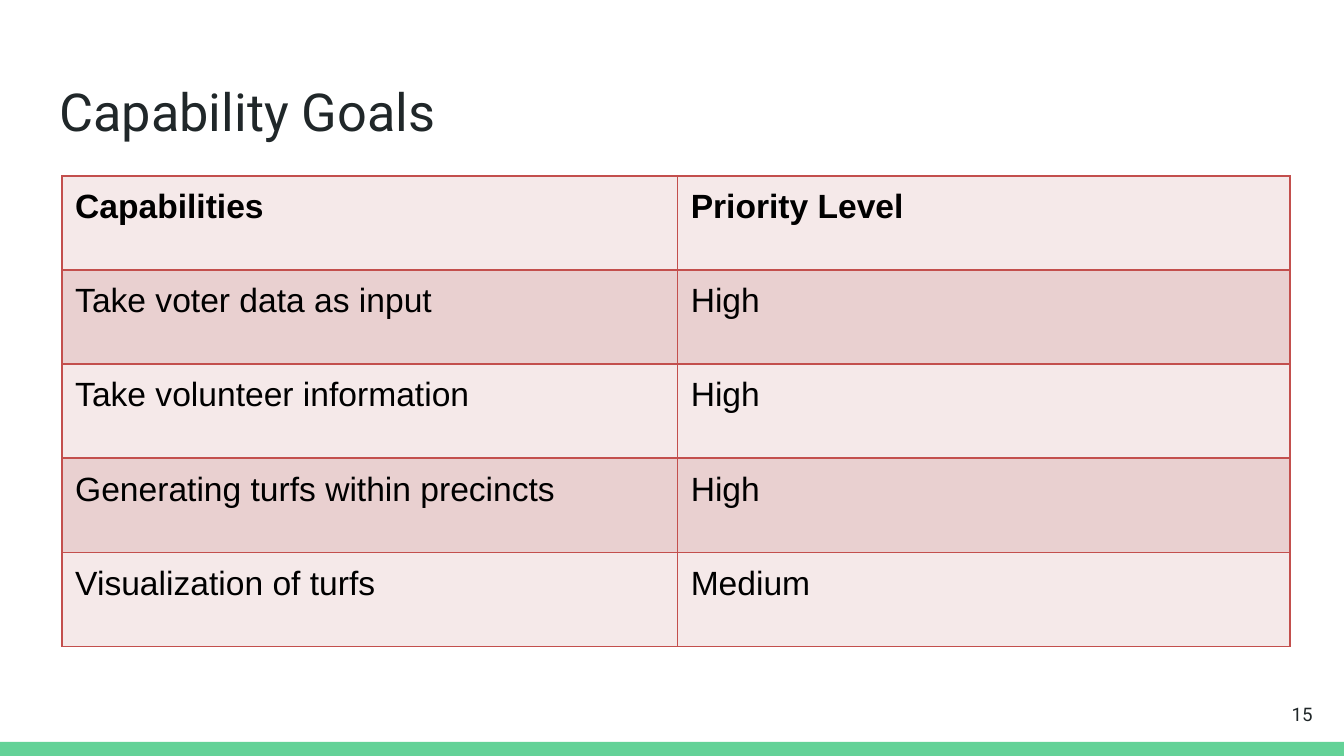
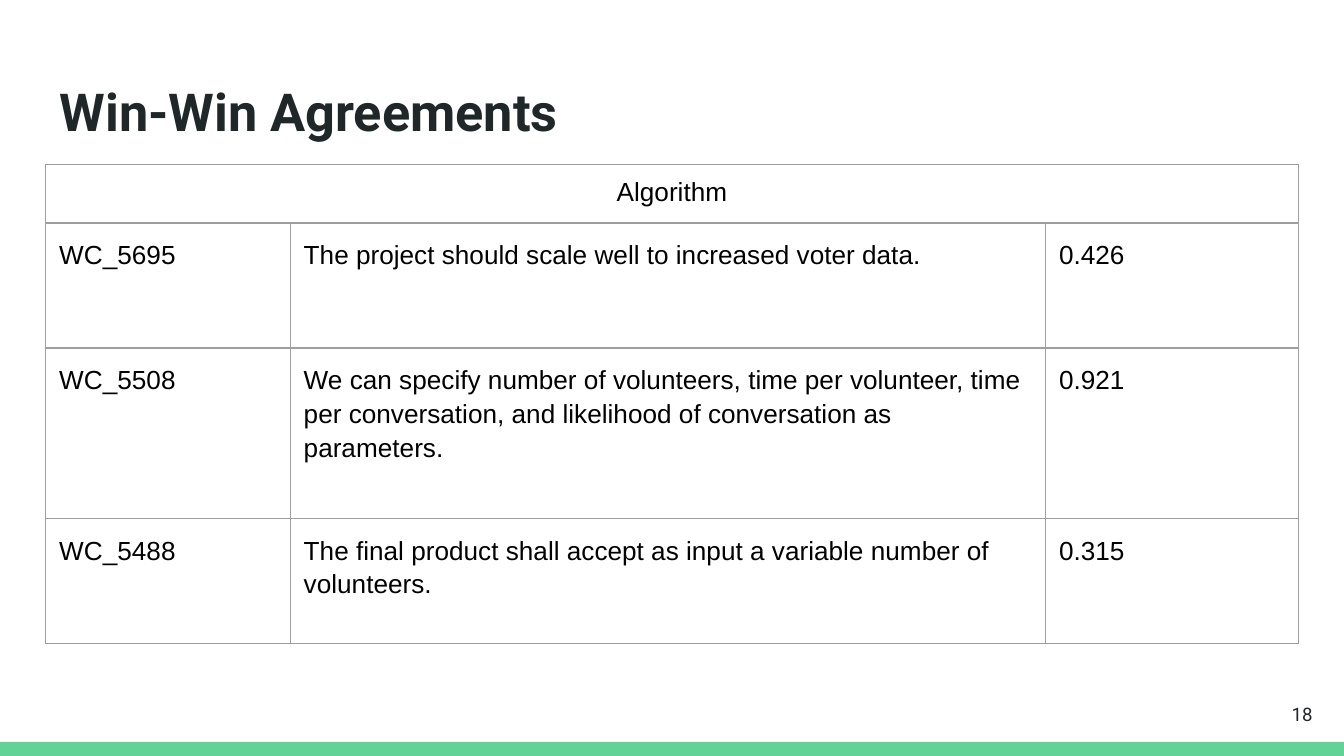
"""Build two table slides that share a title style, a page number and a green band."""
from dataclasses import dataclass
from typing import Optional

from lxml.etree import SubElement
from pptx import Presentation
from pptx.dml.color import RGBColor
from pptx.enum.shapes import MSO_SHAPE as Preset
from pptx.enum.text import MSO_ANCHOR as Anchor, PP_ALIGN as Align
from pptx.oxml.ns import qn
from pptx.slide import Slide
from pptx.table import _Cell as Cell
from pptx.util import Inches, Pt

GREEN = RGBColor(0x63, 0xD2, 0x97)
INK = RGBColor(0x20, 0x27, 0x29)
BLACK = RGBColor(0x00, 0x00, 0x00)
RED = RGBColor(0xC3, 0x4F, 0x4D)
GRAY = RGBColor(0x9E, 0x9E, 0x9E)
PALE_PINK = RGBColor(0xF5, 0xE9, 0xE9)
PINK = RGBColor(0xE9, 0xD0, 0xD0)

HEADING_FONT = "Roboto"
TABLE_FONT = "Arial"
COLUMNS, ROWS = 100, 56.25
WIDTH = Inches(10)
HEIGHT = WIDTH * 9 // 16
INSET = Inches(0.1)


@dataclass(frozen=True)
class Area:
    """A rectangle in grid columns and rows."""
    left: float
    top: float
    width: float
    height: float

    def lengths(self) -> tuple[int, int, int, int]:
        """Return left, top, width and height in slide units."""
        return across(self.left), down(self.top), across(self.width), down(self.height)


@dataclass(frozen=True)
class TextStyle:
    """How the text of a box or cell is set."""
    font: str
    size: int
    color: RGBColor
    bold: bool = False
    align: Align = Align.LEFT
    anchor: Anchor = Anchor.TOP
    spacing: Optional[float] = None


@dataclass(frozen=True)
class TableSpec:
    """The place, look and content of a table."""
    left: float
    top: float
    widths: list[float]
    heights: list[float]
    rows: list[list[str]]
    header: TextStyle
    body: TextStyle
    border: RGBColor
    border_width: float
    margin: float
    fills: tuple[RGBColor, ...] = ()


@dataclass(frozen=True)
class Page:
    """The content of one slide."""
    title: str
    number: int
    table: TableSpec
    bold_title: bool = False


BAND = Area(0, 55.2, COLUMNS, 1.05)
TITLE = Area(3.45, 4.9, 93.2, 6.3)
NUMBER = Area(92.65, 51, 6, 4.3)
NUMBER_STYLE = TextStyle(HEADING_FONT, 10, INK, align=Align.RIGHT, anchor=Anchor.MIDDLE)

PAGES = [
    Page("Capability Goals", 15, TableSpec(
        left=4.6, top=13.1, widths=[45.8, 45.6], heights=[7] * 5,
        rows=[
            ["Capabilities", "Priority Level"],
            ["Take voter data as input", "High"],
            ["Take volunteer information", "High"],
            ["Generating turfs within precincts", "High"],
            ["Visualization of turfs", "Medium"],
        ],
        header=TextStyle(TABLE_FONT, 18, BLACK, bold=True, spacing=1.15),
        body=TextStyle(TABLE_FONT, 18, BLACK, spacing=1.15),
        border=RED, border_width=1, margin=0.05, fills=(PALE_PINK, PINK),
    )),
    Page("Win-Win Agreements", 18, TableSpec(
        left=3.4, top=12.25, widths=[18.2, 56.2, 18.8], heights=[1.1, 9.3, 12.7, 9.3],
        rows=[
            ["Algorithm"],
            ["WC_5695", "The project should scale well to increased voter data.", "0.426"],
            ["WC_5508", "We can specify number of volunteers, time per volunteer, time per "
             "conversation, and likelihood of conversation as parameters.", "0.921"],
            ["WC_5488", "The final product shall accept as input a variable number of "
             "volunteers.", "0.315"],
        ],
        header=TextStyle(TABLE_FONT, 14, BLACK, align=Align.CENTER),
        body=TextStyle(TABLE_FONT, 14, BLACK, spacing=1.15),
        border=GRAY, border_width=0.75, margin=0.1,
    ), bold_title=True),
]


def across(columns: float) -> int:
    """Turn grid columns into a length."""
    return round(WIDTH * columns / COLUMNS)


def down(rows: float) -> int:
    """Turn grid rows into a length."""
    return round(HEIGHT * rows / ROWS)


def write(frame, text: str, style: TextStyle) -> None:
    """Put one styled paragraph in a text frame."""
    frame.text = text
    paragraph = frame.paragraphs[0]
    paragraph.alignment = style.align
    paragraph.line_spacing = style.spacing
    paragraph.font.name = style.font
    paragraph.font.size = Pt(style.size)
    paragraph.font.bold = style.bold
    paragraph.font.color.rgb = style.color


def add_text(slide: Slide, area: Area, text: str, style: TextStyle) -> None:
    """Add a wrapping text box."""
    frame = slide.shapes.add_textbox(*area.lengths()).text_frame
    frame.word_wrap = True
    frame.vertical_anchor = style.anchor
    frame.margin_left = frame.margin_right = INSET
    frame.margin_top = frame.margin_bottom = INSET
    write(frame, text, style)


def add_band(slide: Slide) -> None:
    """Add the green band at the foot of the slide."""
    band = slide.shapes.add_shape(Preset.RECTANGLE, *BAND.lengths())
    band.shadow.inherit = False
    band.fill.solid()
    band.fill.fore_color.rgb = GREEN
    band.line.fill.background()


def add_borders(cell: Cell, color: RGBColor, width: float) -> None:
    """Draw the four sides of a cell."""
    properties = cell._tc.get_or_add_tcPr()
    for side in ("a:lnL", "a:lnR", "a:lnT", "a:lnB"):
        line = SubElement(properties, qn(side), w=str(Pt(width)))
        fill = SubElement(line, qn("a:solidFill"))
        SubElement(fill, qn("a:srgbClr"), val=str(color))


def add_table(slide: Slide, spec: TableSpec) -> None:
    """Add a table; a header row with a single text spans every column."""
    area = Area(spec.left, spec.top, sum(spec.widths), sum(spec.heights))
    table = slide.shapes.add_table(
        len(spec.heights), len(spec.widths), *area.lengths()).table
    table.first_row = table.horz_banding = False
    for column, width in zip(table.columns, spec.widths):
        column.width = across(width)
    for row, height in zip(table.rows, spec.heights):
        row.height = down(height)
    if len(spec.rows[0]) == 1:
        table.cell(0, 0).merge(table.cell(0, len(spec.widths) - 1))

    for index, (row, texts) in enumerate(zip(table.rows, spec.rows)):
        for cell in row.cells:
            add_borders(cell, spec.border, spec.border_width)
            cell.margin_left = cell.margin_right = INSET
            cell.margin_top = cell.margin_bottom = Inches(spec.margin)
            if spec.fills:
                cell.fill.solid()
                cell.fill.fore_color.rgb = spec.fills[index % len(spec.fills)]
            else:
                cell.fill.background()
        for cell, text in zip(row.cells, texts):
            write(cell.text_frame, text, spec.body if index else spec.header)


def main() -> None:
    """Build and save the presentation."""
    presentation = Presentation()
    presentation.slide_width, presentation.slide_height = WIDTH, HEIGHT
    for page in PAGES:
        slide = presentation.slides.add_slide(presentation.slide_layouts[6])
        add_band(slide)
        add_text(slide, TITLE, page.title,
                 TextStyle(HEADING_FONT, 28, INK, bold=page.bold_title))
        add_text(slide, NUMBER, str(page.number), NUMBER_STYLE)
        add_table(slide, page.table)
    presentation.save("out.pptx")


if __name__ == "__main__":
    main()
